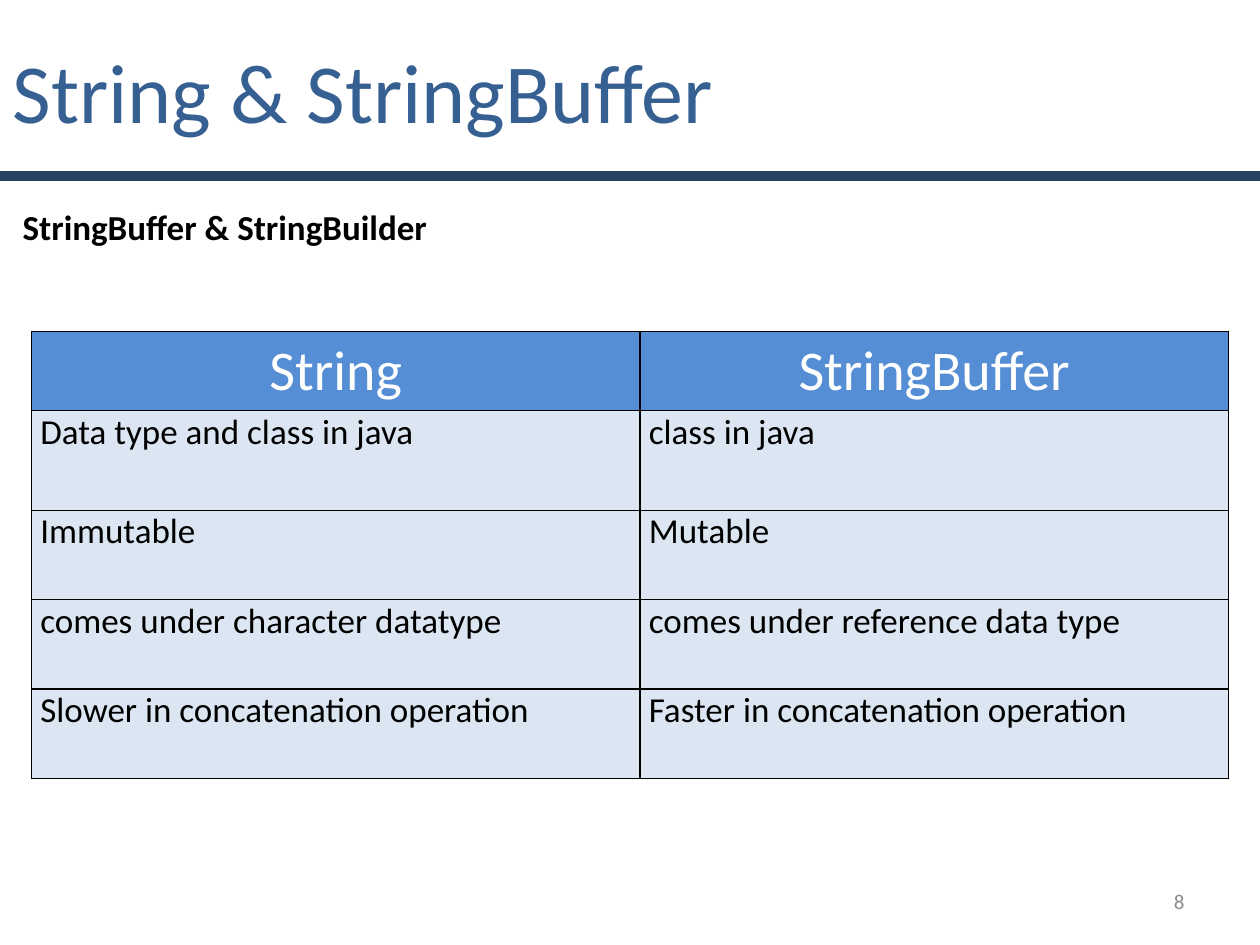
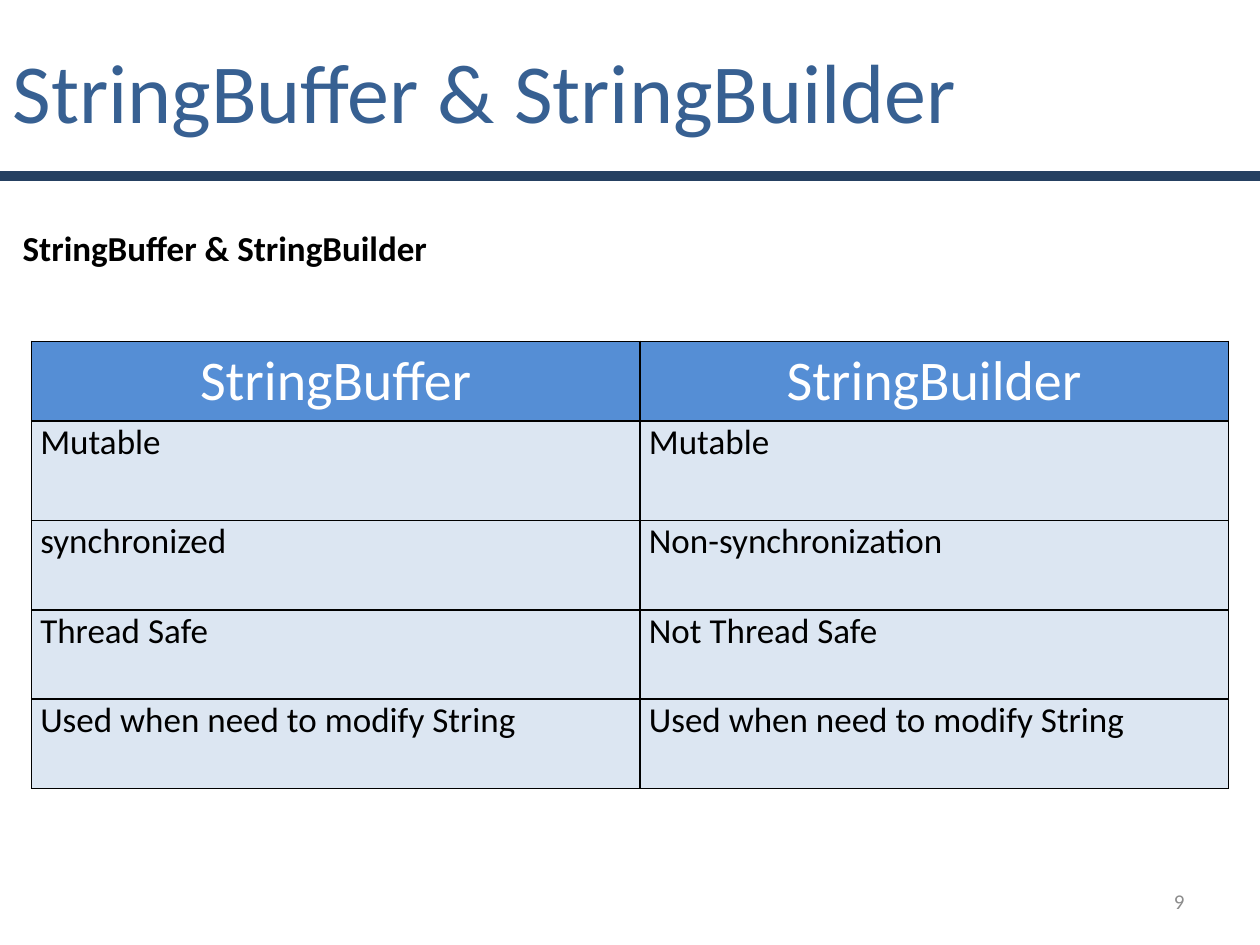
from dataclasses import dataclass

from lxml import etree
from pptx import Presentation
from pptx.dml import color as dml
from pptx.enum import shapes, text
from pptx.oxml import ns
from pptx.util import Inches, Pt

# Shared look
NAVY, TITLE_BLUE, HEADER_BLUE, CELL_BLUE = "254061", "376092", "558ED5", "DCE6F2"
BLACK, WHITE, GREY = "000000", "FFFFFF", "8C8C8C"
BODY_FONT = "Calibri"
COLUMN_WIDTHS = (4.83, 4.67)
ROW_HEIGHTS = (0.63, 0.79, 0.71, 0.71, 0.71)
LEFT, CENTER, RIGHT = text.PP_ALIGN.LEFT, text.PP_ALIGN.CENTER, text.PP_ALIGN.RIGHT
TOP, MIDDLE = text.MSO_ANCHOR.TOP, text.MSO_ANCHOR.MIDDLE


@dataclass
class Box:
    left: float
    top: float
    width: float
    height: float

    def lengths(self) -> tuple:
        return tuple(Inches(n) for n in (self.left, self.top, self.width, self.height))


@dataclass
class Style:
    size: float
    color: str
    bold: bool = False
    align: int = LEFT
    anchor: int = TOP


@dataclass
class Comparison:
    title: str
    number: int
    heading_top: float
    heading_height: float
    table_top: float
    rows: list


TITLE = Style(48, TITLE_BLUE, anchor=MIDDLE)
HEADING = Style(20, BLACK, bold=True)
NUMBER = Style(12, GREY, align=RIGHT, anchor=MIDDLE)
HEADER_CELL = Style(32, WHITE, align=CENTER, anchor=MIDDLE)
BODY_CELL = Style(20, BLACK)


def rgb(value: str) -> dml.RGBColor:
    return dml.RGBColor.from_string(value)


def write(frame, words: str, style: Style) -> None:
    frame.text = words
    frame.word_wrap = True
    paragraph = frame.paragraphs[0]
    paragraph.alignment = style.align
    paragraph.space_before = Pt(0)
    font = paragraph.font
    font.name, font.size, font.bold = BODY_FONT, Pt(style.size), style.bold
    font.color.rgb = rgb(style.color)


def fill_placeholder(shape, box: Box, words: str, style: Style) -> None:
    shape.left, shape.top, shape.width, shape.height = box.lengths()
    frame = shape.text_frame
    write(frame, words, style)
    frame.auto_size = text.MSO_AUTO_SIZE.NONE
    frame.vertical_anchor = style.anchor


def add_text(slide, box: Box, words: str, style: Style) -> None:
    frame = slide.shapes.add_textbox(*box.lengths()).text_frame
    write(frame, words, style)
    frame.vertical_anchor = style.anchor


def remove_bullet(paragraph) -> None:
    properties = paragraph._p.get_or_add_pPr()
    properties.set("marL", "0")
    properties.set("indent", "0")
    etree.SubElement(properties, ns.qn("a:buNone"))


def add_band(slide) -> None:
    band = slide.shapes.add_shape(shapes.MSO_SHAPE.RECTANGLE, *Box(0, 1.37, 10, 0.05).lengths())
    band.shadow.inherit = False
    band.fill.solid()
    band.fill.fore_color.rgb = rgb(NAVY)
    band.line.color.rgb = rgb(NAVY)
    band.line.width = Pt(2)


def add_borders(cell) -> None:
    # Border elements come before the fill in the cell properties
    properties = cell._tc.get_or_add_tcPr()
    for position, side in enumerate(("lnL", "lnR", "lnT", "lnB")):
        line = etree.Element(ns.qn(f"a:{side}"), w=str(Pt(1)))
        fill = etree.SubElement(line, ns.qn("a:solidFill"))
        etree.SubElement(fill, ns.qn("a:srgbClr"), val=BLACK)
        properties.insert(position, line)


def add_table(slide, top: float, rows: list) -> None:
    box = Box(0.25, top, sum(COLUMN_WIDTHS), sum(ROW_HEIGHTS))
    table = slide.shapes.add_table(len(rows), len(COLUMN_WIDTHS), *box.lengths()).table
    table.horz_banding = False
    for column, width in zip(table.columns, COLUMN_WIDTHS):
        column.width = Inches(width)
    for index, (row, height, entries) in enumerate(zip(table.rows, ROW_HEIGHTS, rows)):
        row.height = Inches(height)
        style, fill = (BODY_CELL, CELL_BLUE) if index else (HEADER_CELL, HEADER_BLUE)
        for cell, words in zip(row.cells, entries):
            write(cell.text_frame, words, style)
            cell.vertical_anchor = style.anchor
            cell.margin_left = cell.margin_right = Inches(0.07)
            cell.margin_top = cell.margin_bottom = 0
            cell.fill.solid()
            cell.fill.fore_color.rgb = rgb(fill)
            add_borders(cell)


def add_comparison(presentation, page: Comparison) -> None:
    slide = presentation.slides.add_slide(presentation.slide_layouts[1])
    add_band(slide)
    fill_placeholder(slide.shapes.title, Box(0, 0, 7.83, 1.42), page.title, TITLE)
    heading = slide.placeholders[1]
    heading_box = Box(0.08, page.heading_top, 3.67, page.heading_height)
    fill_placeholder(heading, heading_box, "StringBuffer & StringBuilder", HEADING)
    remove_bullet(heading.text_frame.paragraphs[0])
    add_table(slide, page.table_top, page.rows)
    add_text(slide, Box(7.17, 6.95, 2.33, 0.4), str(page.number), NUMBER)


# Slide content
PAGES = [
    Comparison("String & StringBuffer", 8, 1.58, 0.67, 2.63, [
        ("String", "StringBuffer"),
        ("Data type and class in java", "class in java"),
        ("Immutable", "Mutable"),
        ("comes under character datatype", "comes under reference data type"),
        ("Slower in concatenation operation", "Faster in concatenation operation"),
    ]),
    Comparison("StringBuffer & StringBuilder", 9, 1.75, 0.5, 2.71, [
        ("StringBuffer", "StringBuilder"),
        ("Mutable", "Mutable"),
        ("synchronized", "Non-synchronization"),
        ("Thread Safe", "Not Thread Safe"),
        ("Used when need to modify String", "Used when need to modify String"),
    ]),
]

presentation = Presentation()
presentation.slide_width, presentation.slide_height = Inches(10), Inches(7.5)
for page in PAGES:
    add_comparison(presentation, page)
presentation.save("out.pptx")
